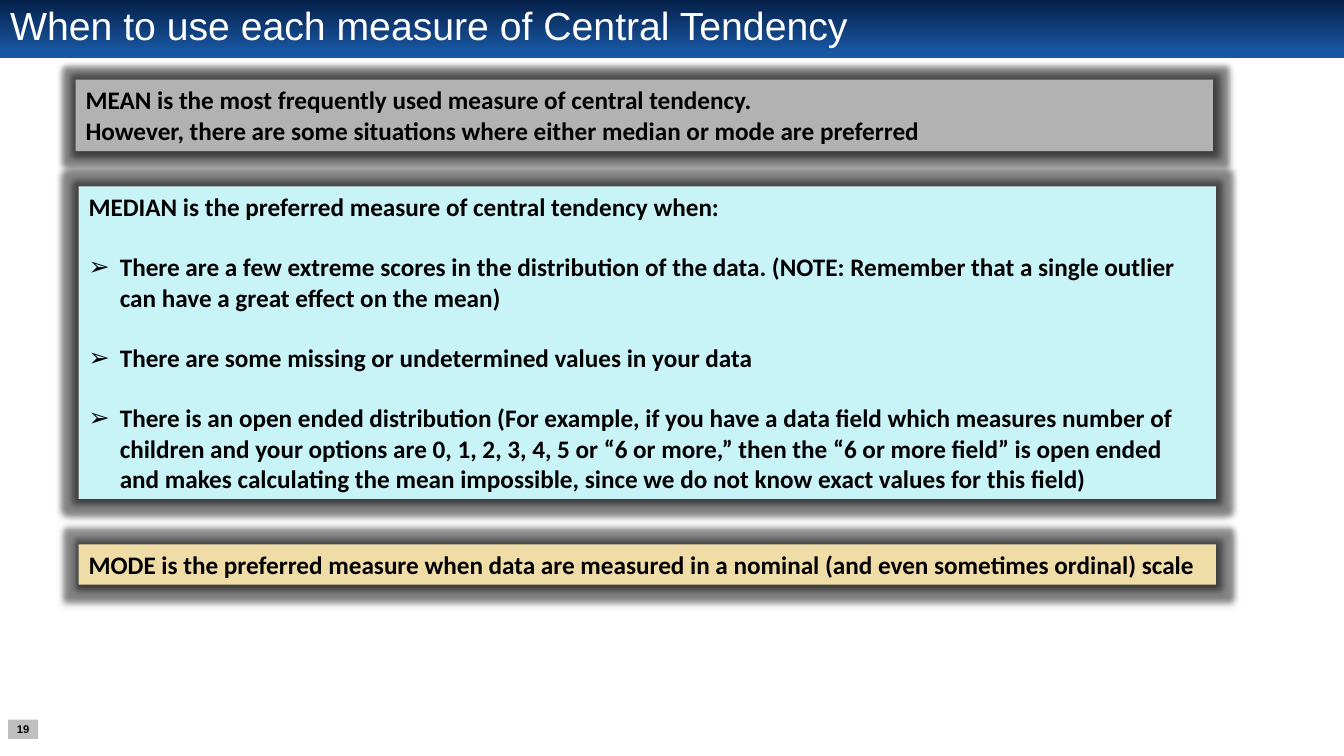
from dataclasses import dataclass

import lxml.etree
import pptx
import pptx.dml.color
import pptx.enum.shapes
import pptx.enum.text
import pptx.oxml.ns
import pptx.util
from pptx.util import Inches

RGB = pptx.dml.color.RGBColor.from_string
ANCHOR = pptx.enum.text.MSO_ANCHOR
ALIGN = pptx.enum.text.PP_ALIGN
qn = pptx.oxml.ns.qn


@dataclass(frozen=True)
class Theme:
    heading_font: str = "Arial"
    body_font: str = "Calibri"
    title_size: int = 28
    body_size: int = 18
    number_size: int = 8
    paragraph_gap: float = 21.5
    band_top: str = "052049"
    band_bottom: str = "1957A3"
    white: str = "FFFFFF"
    black: str = "000000"
    number_fill: str = "BFBFBF"
    mean_fill: str = "B2B2B2"
    median_fill: str = "C8F4F7"
    mode_fill: str = "EFDCA6"


THEME = Theme()

MEAN = [
    "MEAN is the most frequently used measure of central tendency.",
    "However, there are some situations where either median or mode are preferred",
]
MEDIAN = "MEDIAN is the preferred measure of central tendency when:"
MEDIAN_CASES = [
    "There are a few extreme scores in the distribution of the data. "
    "(NOTE: Remember that a single outlier \vcan have a great effect on the mean)",
    "There are some missing or undetermined values in your data",
    "There is an open ended distribution (For example, if you have a data field "
    "which measures number of \vchildren and your options are 0, 1, 2, 3, 4, 5 or "
    "“6 or more,” then the “6 or more field” is open ended \vand makes calculating "
    "the mean impossible, since we do not know exact values for this field)",
]
MODE = ("MODE is the preferred measure when data are measured in a nominal "
        "(and even sometimes ordinal) scale")


def style_paragraph(paragraph, font_name, size, color, bold=False,
                    alignment=ALIGN.LEFT):
    paragraph.alignment = alignment
    for run in paragraph.runs:
        run.font.name = font_name
        run.font.size = pptx.util.Pt(size)
        run.font.bold = bold
        run.font.color.rgb = RGB(color)


def add_rectangle(slide, left, top, width, height):
    shape = slide.shapes.add_shape(
        pptx.enum.shapes.MSO_SHAPE.RECTANGLE,
        Inches(left), Inches(top), Inches(width), Inches(height))
    shape.shadow.inherit = False
    shape.line.fill.background()
    return shape


def add_title_band(slide):
    band = add_rectangle(slide, 0, 0, 13.33, 0.58)
    band.fill.gradient()
    band.fill.gradient_angle = 270
    first, last = band.fill.gradient_stops
    first.color.rgb, first.position = RGB(THEME.band_top), 0
    last.color.rgb, last.position = RGB(THEME.band_bottom), 0.9


def set_title(slide, text):
    """Fill the title placeholder and bring it in front of the band."""
    title = slide.shapes.title
    title.left, title.top = Inches(0), Inches(0)
    title.width, title.height = Inches(12.84), Inches(0.49)
    frame = title.text_frame
    frame.text = text
    frame.vertical_anchor = ANCHOR.MIDDLE
    frame.auto_size = pptx.enum.text.MSO_AUTO_SIZE.NONE
    frame.margin_top = frame.margin_bottom = 0
    style_paragraph(frame.paragraphs[0], THEME.heading_font, THEME.title_size,
                    THEME.white)
    slide.shapes.element.append(title.element)


def add_effect(shape, tag, opacity, **attributes):
    effects = shape.element.spPr.find(qn("a:effectLst"))
    effect = lxml.etree.SubElement(effects, qn(tag), **attributes)
    color = lxml.etree.SubElement(effect, qn("a:srgbClr"), val=THEME.black)
    lxml.etree.SubElement(color, qn("a:alpha"), val=str(opacity * 1000))


def add_halo(shape):
    """Surround the shape with a soft grey glow and a small drop shadow."""
    add_effect(shape, "a:glow", 40, rad=str(pptx.util.Pt(8)))
    add_effect(shape, "a:outerShdw", 32, blurRad=str(pptx.util.Pt(3.5)),
               dist=str(pptx.util.Pt(2.2)), dir="5400000", rotWithShape="0")


def add_bullet(paragraph):
    properties = paragraph._p.get_or_add_pPr()
    indent = Inches(0.31)
    properties.set("marL", str(indent))
    properties.set("indent", str(-indent))
    lxml.etree.SubElement(properties, qn("a:buFont"),
                          typeface=THEME.heading_font)
    lxml.etree.SubElement(properties, qn("a:buChar"), char="➢")


def add_panel(slide, left, top, height, fill, lines, bullets=(),
              anchor=ANCHOR.TOP):
    """Add a text panel with a halo: plain lines, then spaced bullets."""
    panel = add_rectangle(slide, left, top, 11.28, height)
    panel.fill.solid()
    panel.fill.fore_color.rgb = RGB(fill)
    add_halo(panel)
    frame = panel.text_frame
    frame.word_wrap = True
    frame.vertical_anchor = anchor
    frame.text = "\n".join(lines)
    for bullet in bullets:
        paragraph = frame.add_paragraph()
        paragraph.text = bullet
        paragraph.space_before = pptx.util.Pt(THEME.paragraph_gap)
        add_bullet(paragraph)
    for paragraph in frame.paragraphs:
        style_paragraph(paragraph, THEME.body_font, THEME.body_size,
                        THEME.black, bold=True)


def add_slide_number(slide, number):
    box = add_rectangle(slide, 0.08, 7.14, 0.3, 0.19)
    box.fill.solid()
    box.fill.fore_color.rgb = RGB(THEME.number_fill)
    frame = box.text_frame
    frame.text = number
    frame.word_wrap = False
    frame.vertical_anchor = ANCHOR.MIDDLE
    frame.margin_left = frame.margin_right = 0
    frame.margin_top = frame.margin_bottom = 0
    style_paragraph(frame.paragraphs[0], THEME.heading_font, THEME.number_size,
                    THEME.black, bold=True, alignment=ALIGN.CENTER)


def main():
    presentation = pptx.Presentation()
    presentation.slide_width = Inches(13.33)
    presentation.slide_height = Inches(7.5)
    title_only = presentation.slide_layouts.get_by_name("Title Only")
    slide = presentation.slides.add_slide(title_only)
    add_title_band(slide)
    set_title(slide, "When to use each measure of Central Tendency")
    add_panel(slide, 0.75, 0.79, 0.71, THEME.mean_fill, MEAN)
    add_panel(slide, 0.78, 1.85, 3.1, THEME.median_fill, [MEDIAN], MEDIAN_CASES)
    add_panel(slide, 0.78, 5.4, 0.4, THEME.mode_fill, [MODE],
              anchor=ANCHOR.MIDDLE)
    add_slide_number(slide, "19")
    presentation.save("out.pptx")


if __name__ == "__main__":
    main()
